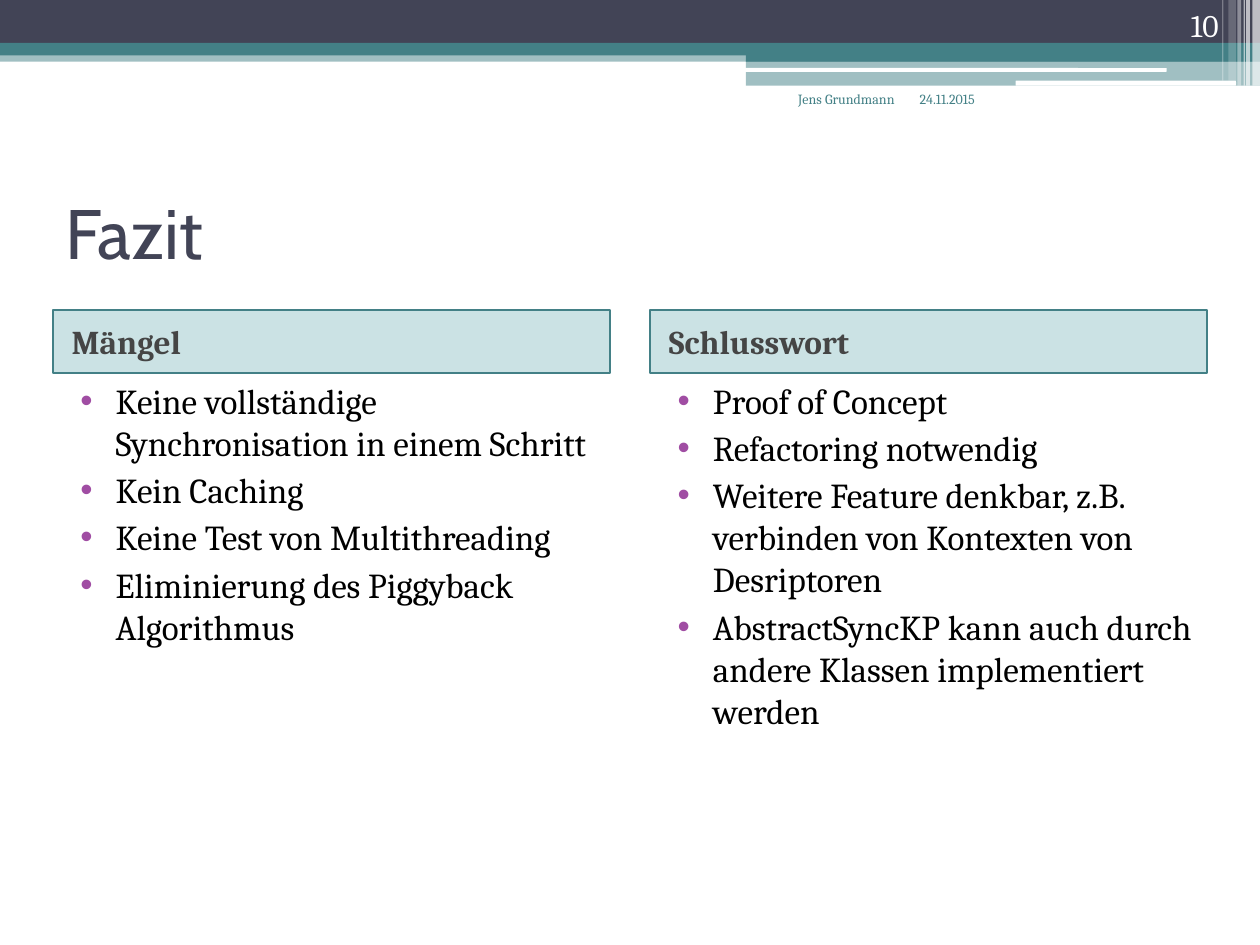
from lxml import etree
from pptx import Presentation
from pptx.dml.color import RGBColor
from pptx.enum.shapes import MSO_SHAPE
from pptx.enum.text import MSO_ANCHOR, PP_ALIGN
from pptx.oxml.ns import qn
from pptx.util import Inches, Pt

RECT = MSO_SHAPE.RECTANGLE
ROUND = MSO_SHAPE.ROUNDED_RECTANGLE
TOP, MIDDLE, BOTTOM = MSO_ANCHOR.TOP, MSO_ANCHOR.MIDDLE, MSO_ANCHOR.BOTTOM
LEFT, RIGHT = PP_ALIGN.LEFT, PP_ALIGN.RIGHT

DARK, TEAL, WHITE = "424456", "438086", "FFFFFF"
AQUA, GRAY, BLACK, PURPLE = "328E97", "454545", "000000", "A04DA3"


def color(code):
    return RGBColor.from_string(code)


def add_bar(slide, box, fill, alpha=100, kind=RECT, line=None):
    bar = slide.shapes.add_shape(kind, *map(Inches, box))
    bar.shadow.inherit = False
    bar.fill.solid()
    bar.fill.fore_color.rgb = color(fill)
    if alpha < 100:
        tint = bar.fill._xPr.find(qn("a:solidFill"))[0]
        etree.SubElement(tint, qn("a:alpha")).set("val", str(alpha * 1000))
    if line:
        bar.line.color.rgb = color(line)
        bar.line.width = Pt(1)
    else:
        bar.line.fill.background()
    return bar


def add_box(slide, box):
    return slide.shapes.add_textbox(*map(Inches, box))


def set_bullet(para, tint):
    props = para._p.get_or_add_pPr()
    hue = etree.SubElement(props, qn("a:buClr"))
    etree.SubElement(hue, qn("a:srgbClr")).set("val", tint)
    etree.SubElement(props, qn("a:buFont")).set("typeface", "Arial")
    etree.SubElement(props, qn("a:buChar")).set("char", "•")


def put_text(shape, *lines, size, tint, font="Cambria", bold=False, align=LEFT,
             anchor=TOP, before=0, margin=0, indent=0, bullet=None):
    frame = shape.text_frame
    frame.word_wrap = True
    frame.vertical_anchor = anchor
    for pos, line in enumerate(lines):
        para = frame.add_paragraph() if pos else frame.paragraphs[0]
        para.alignment = align
        para.space_before = Pt(before)
        props = para._p.get_or_add_pPr()
        props.set("marL", str(Inches(margin)))
        props.set("indent", str(Inches(indent)))
        if bullet:
            set_bullet(para, bullet)
        run = para.add_run()
        run.text = line
        run.font.name = font
        run.font.size = Pt(size)
        run.font.bold = bold
        run.font.color.rgb = color(tint)


def draw_header(slide, box):
    left, top, width, height = box
    right = left + width
    half = left + 5.92
    rest = right - half
    add_bar(slide, (left, top + 0.4, width, 0.09), TEAL, 50)
    add_bar(slide, (left, top, width, 0.34), DARK)
    add_bar(slide, (left, top + 0.34, width, 0.1), TEAL)
    add_bar(slide, (half, top + 0.39, rest, 0.1), TEAL)
    add_bar(slide, (half, top + 0.48, rest, 0.2), TEAL, 50)
    add_bar(slide, (half - 0.01, top + 0.54, 3.35, 0.03), WHITE, kind=ROUND)
    add_bar(slide, (right - 1.94, top + 0.64, 1.75, 0.04), WHITE, kind=ROUND)
    stripes = [(0.06, 0.06, 0, 65), (0.11, 0.03, 0, 65), (0.13, 0.01, 0, 60),
               (0.18, 0.03, 0, 40), (0.25, 0.06, 0.04, 20), (0.3, 0.01, 0.04, 30)]
    for back, wide, cut, alpha in stripes:
        add_bar(slide, (right - back, top, wide, height - cut), WHITE, alpha)
    put_text(add_box(slide, (right - 1.06, top, 0.83, 0.4)), "10",
             size=18, tint=WHITE, align=RIGHT, anchor=BOTTOM)


def draw_credit(slide, box):
    left, top, width, height = box
    split = 1.45
    put_text(add_box(slide, (left, top, split, height)), "Jens Grundmann",
             size=8, tint=TEAL, align=RIGHT)
    put_text(add_box(slide, (left + split, top, width - split, height)),
             "24.11.2015", size=8, tint=TEAL)


def draw_title(slide, box):
    put_text(add_box(slide, box), "Fazit", size=40, tint=DARK, font="Cabin",
             anchor=MIDDLE)


def draw_column(slide, box, head, points):
    left, top, width, height = box
    cap = 0.5
    label = add_bar(slide, (left, top, width, cap), AQUA, 25, line=TEAL)
    put_text(label, head, size=19, tint=GRAY, bold=True, anchor=MIDDLE,
             before=3, margin=0.05)
    put_text(add_box(slide, (left, top + cap, width, height - cap)), *points,
             size=20, tint=BLACK, before=3, margin=0.4, indent=-0.28,
             bullet=PURPLE)


def main():
    deck = Presentation()
    deck.slide_width, deck.slide_height = Inches(10), Inches(7.5)
    slide = deck.slides.add_slide(deck.slide_layouts[6])
    draw_header(slide, (0, 0, 10, 0.68))
    draw_credit(slide, (5.75, 0.67, 2.5, 0.5))
    draw_title(slide, (0.42, 1.25, 9.17, 1.17))
    columns = [
        ("Mängel", [
            "Keine vollständige Synchronisation in einem Schritt",
            "Kein Caching",
            "Keine Test von Multithreading",
            "Eliminierung des Piggyback Algorithmus"]),
        ("Schlusswort", [
            "Proof of Concept",
            "Refactoring notwendig",
            "Weitere Feature denkbar, z.B. verbinden von Kontexten von Desriptoren",
            "AbstractSyncKP kann auch durch andere Klassen implementiert werden"]),
    ]
    for pos, (head, points) in enumerate(columns):
        draw_column(slide, (0.42 + pos * 4.74, 2.46, 4.42, 4.75), head, points)
    deck.save("out.pptx")


if __name__ == "__main__":
    main()
